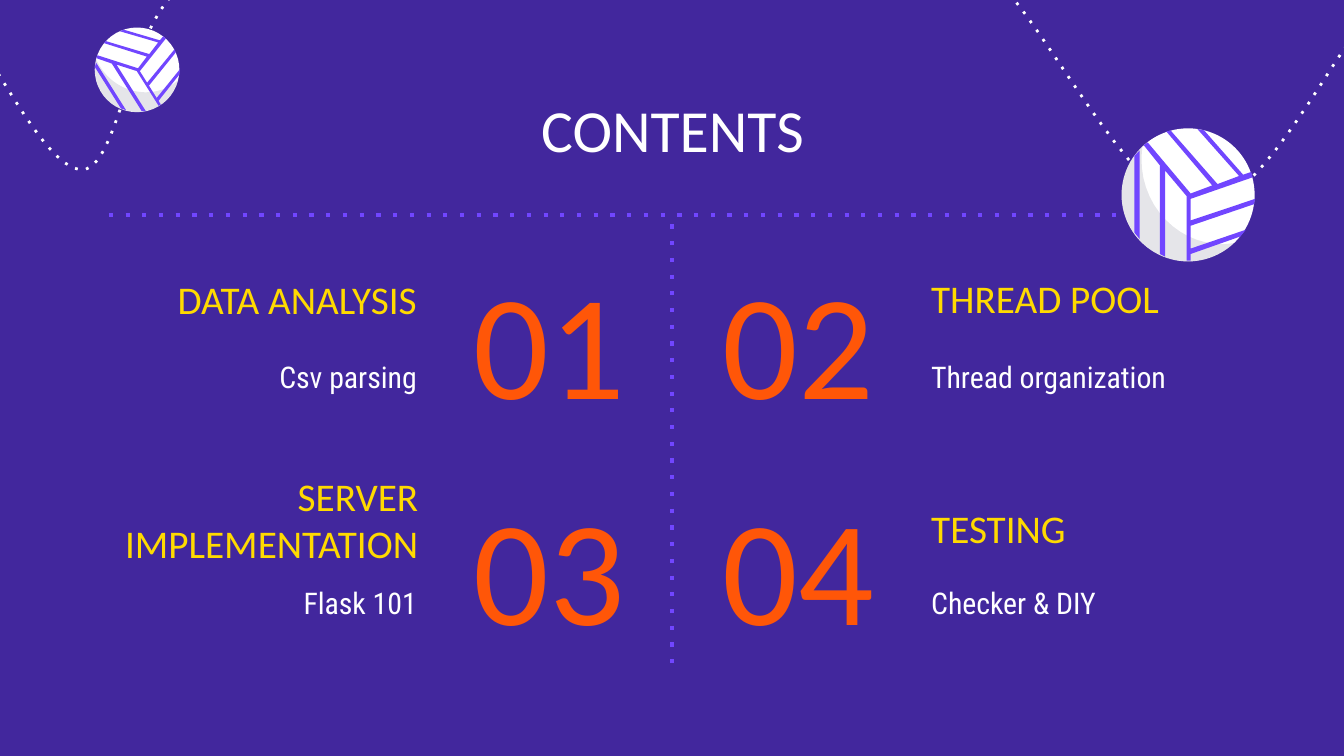
import dataclasses
import math

import pptx
import pptx.dml.color
import pptx.enum.dml
import pptx.enum.shapes
import pptx.enum.text
import pptx.oxml
import pptx.oxml.ns
import pptx.util

Inches = pptx.util.Inches
Align = pptx.enum.text.PP_ALIGN
Anchor = pptx.enum.text.MSO_ANCHOR
color = pptx.dml.color.RGBColor.from_string


@dataclasses.dataclass(frozen=True)
class Theme:
    background = color("42279D")
    violet = color("7146FF")
    white = color("FFFFFF")
    yellow = color("FFDA00")
    orange = color("FF5608")
    shade = color("030031")
    shade_alpha = "10000"
    heading_font = "Calibri"
    body_font = "Roboto Condensed"
    title_size = 32
    number_size = 80
    heading_size = 21
    body_size = 16


theme = Theme()


def add_text(box, text, font, size, fill, align, anchor=Anchor.MIDDLE):
    shape = slide.shapes.add_textbox(*map(Inches, box))
    frame = shape.text_frame
    frame.word_wrap = True
    frame.vertical_anchor = anchor
    frame.margin_left = frame.margin_right = Inches(0.1)
    frame.margin_top = frame.margin_bottom = Inches(0.1)
    paragraph = frame.paragraphs[0]
    paragraph.alignment = align
    run = paragraph.add_run()
    run.text = text
    run.font.name = font
    run.font.size = pptx.util.Pt(size)
    run.font.color.rgb = fill


def trace_curve(nodes, steps=16):
    """Sample a chain of cubic Bezier curves: start, then three nodes per curve."""
    points = [nodes[0]]
    for first in range(0, len(nodes) - 1, 3):
        a, b, c, d = nodes[first:first + 4]
        for step in range(1, steps + 1):
            t = step / steps
            u = 1 - t
            points.append(tuple(
                u**3 * a[i] + 3 * u * u * t * b[i] + 3 * u * t * t * c[i] + t**3 * d[i]
                for i in (0, 1)))
    return points


# Widescreen slide, 16:9
presentation = pptx.Presentation()
presentation.slide_width = Inches(10)
presentation.slide_height = Inches(10 * 9 / 16)
slide = presentation.slides.add_slide(presentation.slide_layouts[6])
slide.background.fill.solid()
slide.background.fill.fore_color.rgb = theme.background

# Dotted dividers and ball trajectories
dotted = []
for x1, y1, x2, y2 in [(0.81, 1.6, 9.21, 1.6), (5, 1.67, 5, 5.02)]:
    divider = slide.shapes.add_connector(
        pptx.enum.shapes.MSO_CONNECTOR.STRAIGHT, *map(Inches, (x1, y1, x2, y2)))
    properties = divider._element.spPr
    properties.append(pptx.oxml.parse_xml(
        "<a:effectLst %s/>" % pptx.oxml.ns.nsdecls("a")))
    dotted.append((divider, theme.violet, 2.25))

trajectories = [
    [(6.89, -0.1), (6.98, -0.11), (7.08, -0.43), (7.41, -0.15), (7.74, 0.13),
     (8.42, 1.49), (8.87, 1.56), (9.32, 1.62), (9.89, 0.46), (10.09, 0.25)],
    [(-0.15, 0.34), (-0.02, 0.49), (0.39, 1.33), (0.64, 1.26), (0.9, 1.18),
     (0.98, 0.1), (1.39, -0.12), (1.79, -0.34), (2.8, -0.08), (3.08, -0.08)],
]
for nodes in trajectories:
    points = [(Inches(x), Inches(y)) for x, y in trace_curve(nodes)]
    builder = slide.shapes.build_freeform(*points[0])
    builder.add_line_segments(points[1:], close=False)
    trajectory = builder.convert_to_shape()
    trajectory.shadow.inherit = False
    trajectory.fill.background()
    dotted.append((trajectory, theme.white, 1.5))

for shape, stroke, width in dotted:
    shape.line.color.rgb = stroke
    shape.line.width = pptx.util.Pt(width)
    shape.line.dash_style = pptx.enum.dml.MSO_LINE.ROUND_DOT
    shape._element.spPr.find(".//" + pptx.oxml.ns.qn("a:prstDash")).set("val", "dot")

# Title
add_text((0.79, 0.59, 8.43, 0.63), "CONTENTS", theme.heading_font,
         theme.title_size, theme.white, Align.CENTER, Anchor.TOP)

# Four chapters: heading box, heading, description
chapters = [
    ((0.82, 1.98, 2.38, 0.49), "DATA ANALYSIS", "Csv parsing"),
    ((6.83, 1.97, 2.63, 0.49), "THREAD POOL", "Thread organization"),
    ((0.46, 3.62, 2.75, 0.49), "SERVER IMPLEMENTATION", "Flask 101"),
    ((6.83, 3.68, 2.38, 0.49), "TESTING", "Checker & DIY"),
]
columns = [(3.27, 0.82, Align.RIGHT), (5.12, 6.83, Align.LEFT)]
for index, (heading_box, heading, description) in enumerate(chapters):
    row, column = divmod(index, 2)
    top = 1.94 + 1.68 * row
    number_left, text_left, align = columns[column]
    add_text((number_left, top, 1.64, 1.18), f"{index + 1:02}", theme.heading_font,
             theme.number_size, theme.orange, Align.CENTER)
    add_text(heading_box, heading, theme.heading_font,
             theme.heading_size, theme.yellow, align)
    add_text((text_left, top + 0.55, 2.38, 0.63), description, theme.body_font,
             theme.body_size, theme.white, align)

# Volleyball outlines around the centre, with a radius of 50
shade_arc = [(49.5 * math.cos(math.radians(angle)), 49.5 * math.sin(math.radians(angle)))
             for angle in range(227, 46, -6)]
shade = shade_arc + trace_curve([(34, 36), (-4, 42), (-40, 8), (-34, -36)])
side_seam = [(-36, -33), (-40, -29), (-40, 28), (-36, 33)]
seams = [
    (7, -49), (38, -14), (22, -8), (-13, -48), (-16, -47), (18, -7), (2, -1),
    (-30, -39), (-33, -37), (-21, -22), (-21, 44), (-17, 46), (-17, -18), (-1, 1),
    (-1, 49), (2, 49), (2, 44), (39, 31), (43, 26), (2, 40), (2, 23), (49, 7),
    (50, 3), (2, 19), (2, 3), (48, -13), (47, -17), (41, -15), (12, -48),
]

# Balls: centre, diameter, rotation in degrees
for center_x, center_y, diameter, rotation in [(8.84, 1.45, 0.99, 0),
                                               (1.02, 0.52, 0.63, -32.2)]:
    ball = slide.shapes.add_group_shape()
    disc = ball.shapes.add_shape(
        pptx.enum.shapes.MSO_SHAPE.OVAL, Inches(center_x - diameter / 2),
        Inches(center_y - diameter / 2), Inches(diameter), Inches(diameter))
    parts = [(disc, theme.white)]
    cosine, sine = math.cos(math.radians(rotation)), math.sin(math.radians(rotation))
    scale = diameter / 99
    for outline, fill in [(shade, theme.shade), (side_seam, theme.violet),
                          (seams, theme.violet)]:
        points = [(Inches(center_x + scale * (x * cosine - y * sine)),
                   Inches(center_y + scale * (x * sine + y * cosine)))
                  for x, y in outline]
        builder = ball.shapes.build_freeform(*points[0])
        builder.add_line_segments(points[1:], close=True)
        parts.append((builder.convert_to_shape(), fill))
    for shape, fill in parts:
        shape.shadow.inherit = False
        shape.line.fill.background()
        shape.fill.solid()
        shape.fill.fore_color.rgb = fill
        if fill == theme.shade:
            tint = shape._element.spPr.find(".//" + pptx.oxml.ns.qn("a:srgbClr"))
            tint.append(pptx.oxml.parse_xml('<a:alpha %s val="%s"/>' % (
                pptx.oxml.ns.nsdecls("a"), theme.shade_alpha)))

presentation.save("out.pptx")
